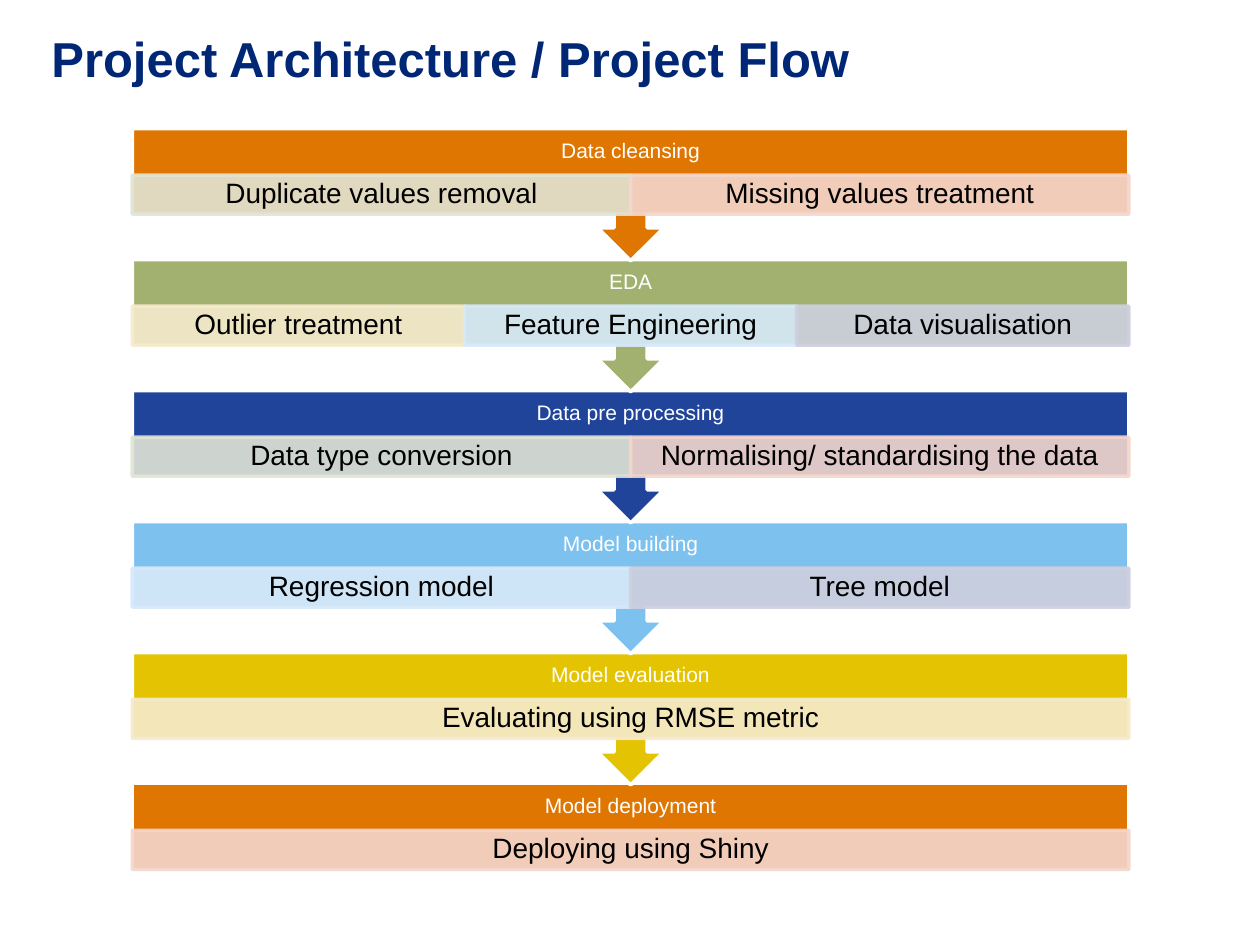
from lxml.etree import SubElement
from pptx import Presentation
from pptx.dml.color import RGBColor
from pptx.enum.shapes import MSO_SHAPE
from pptx.enum.text import MSO_ANCHOR, PP_ALIGN
from pptx.oxml.ns import qn
from pptx.util import Inches, Pt

# Colours
WHITE = RGBColor(0xFF, 0xFF, 0xFF)
BLACK = RGBColor(0x00, 0x00, 0x00)
NAVY = RGBColor(0x00, 0x27, 0x76)
ORANGE = RGBColor(0xE0, 0x76, 0x02)
GREEN = RGBColor(0xA2, 0xB1, 0x70)
BLUE = RGBColor(0x21, 0x44, 0x9B)
SKY = RGBColor(0x7D, 0xC1, 0xEF)
YELLOW = RGBColor(0xE4, 0xC4, 0x02)
PALE_GREEN = RGBColor(0xE0, 0xE4, 0xD5)
PALE_RED = RGBColor(0xF3, 0xD6, 0xCC)
PALE_YELLOW = RGBColor(0xF5, 0xEA, 0xCC)
PALE_SKY = RGBColor(0xD7, 0xE9, 0xF9)
PALE_BLUE = RGBColor(0xCD, 0xCF, 0xDE)

# Layout in inches
LEFT, TOP, WIDTH, PITCH = 1.05, 1.02, 7.91, 1.04
HEADER_HEIGHT, TASK_HEIGHT = 0.37, 0.31
BLOCK_HEIGHT, CALLOUT_HEIGHT = 0.68, 1.05

# Each stage: name, colour, tasks with their tints
STAGES = [
    ("Data cleansing", ORANGE,
     [("Duplicate values removal", PALE_GREEN), ("Missing values treatment", PALE_RED)]),
    ("EDA", GREEN,
     [("Outlier treatment", PALE_YELLOW), ("Feature Engineering", PALE_SKY),
      ("Data visualisation", PALE_BLUE)]),
    ("Data pre processing", BLUE,
     [("Data type conversion", PALE_GREEN),
      ("Normalising/ standardising the data", PALE_RED)]),
    ("Model building", SKY,
     [("Regression model", PALE_SKY), ("Tree model", PALE_BLUE)]),
    ("Model evaluation", YELLOW, [("Evaluating using RMSE metric", PALE_YELLOW)]),
    ("Model deployment", ORANGE, [("Deploying using Shiny", PALE_RED)]),
]


class FlowSlide:
    font_name = "Arial"
    line_width = Pt(2)

    def __init__(self, deck):
        self.page = deck.slides.add_slide(deck.slide_layouts[6])

    def set_text(self, box, text, size, color, margins, bold=False, centred=True):
        frame = box.text_frame
        frame.word_wrap = True
        frame.margin_left = frame.margin_right = Inches(margins[0])
        frame.margin_top = frame.margin_bottom = Inches(margins[1])
        frame.text = text
        para = frame.paragraphs[0]
        if centred:
            frame.vertical_anchor = MSO_ANCHOR.MIDDLE
            para.alignment = PP_ALIGN.CENTER
            para.line_spacing = 0.9
        font = para.runs[0].font
        font.name, font.size, font.bold = self.font_name, Pt(size), bold
        font.color.rgb = color

    def label(self, left, top, width, height, *text_style, **options):
        box = self.page.shapes.add_textbox(
            Inches(left), Inches(top), Inches(width), Inches(height))
        self.set_text(box, *text_style, **options)

    def block(self, kind, left, top, width, height, fill, line):
        box = self.page.shapes.add_shape(
            kind, Inches(left), Inches(top), Inches(width), Inches(height))
        box.shadow.inherit = False
        box.fill.solid()
        box.fill.fore_color.rgb = fill
        box.line.color.rgb = line
        box.line.width = self.line_width
        return box

    def task(self, left, top, width, text, tint):
        box = self.block(MSO_SHAPE.RECTANGLE, left, top, width, TASK_HEIGHT, tint, tint)
        for color in box._element.spPr.iter(qn("a:srgbClr")):
            SubElement(color, qn("a:alpha"), val="90000")
        self.set_text(box, text, 16, BLACK, (0.12, 0.02))

    def stage(self, top, name, color, tasks, is_last):
        if is_last:
            self.block(MSO_SHAPE.RECTANGLE, LEFT, top, WIDTH, BLOCK_HEIGHT, color, WHITE)
        else:
            callout = self.block(MSO_SHAPE.UP_ARROW_CALLOUT, LEFT, top, WIDTH,
                                 CALLOUT_HEIGHT, color, WHITE)
            callout.rotation = 180
        self.label(LEFT, top, WIDTH, HEADER_HEIGHT, name, 12, WHITE, (0.09, 0.09))
        task_width = WIDTH / len(tasks)
        for column, (text, tint) in enumerate(tasks):
            self.task(LEFT + column * task_width, top + HEADER_HEIGHT, task_width, text, tint)


def main():
    deck = Presentation()
    deck.slide_width, deck.slide_height = Inches(10), Inches(7.5)
    slide = FlowSlide(deck)

    # Title
    slide.label(0.31, 0.18, 6.71, 0.58, "Project Architecture / Project Flow",
                28, NAVY, (0.1, 0.05), bold=True, centred=False)

    # Stages, from the bottom up so each arrow lies over the next stage
    last = len(STAGES) - 1
    for row in range(last, -1, -1):
        slide.stage(TOP + row * PITCH, *STAGES[row], is_last=row == last)

    deck.save("out.pptx")


if __name__ == "__main__":
    main()
